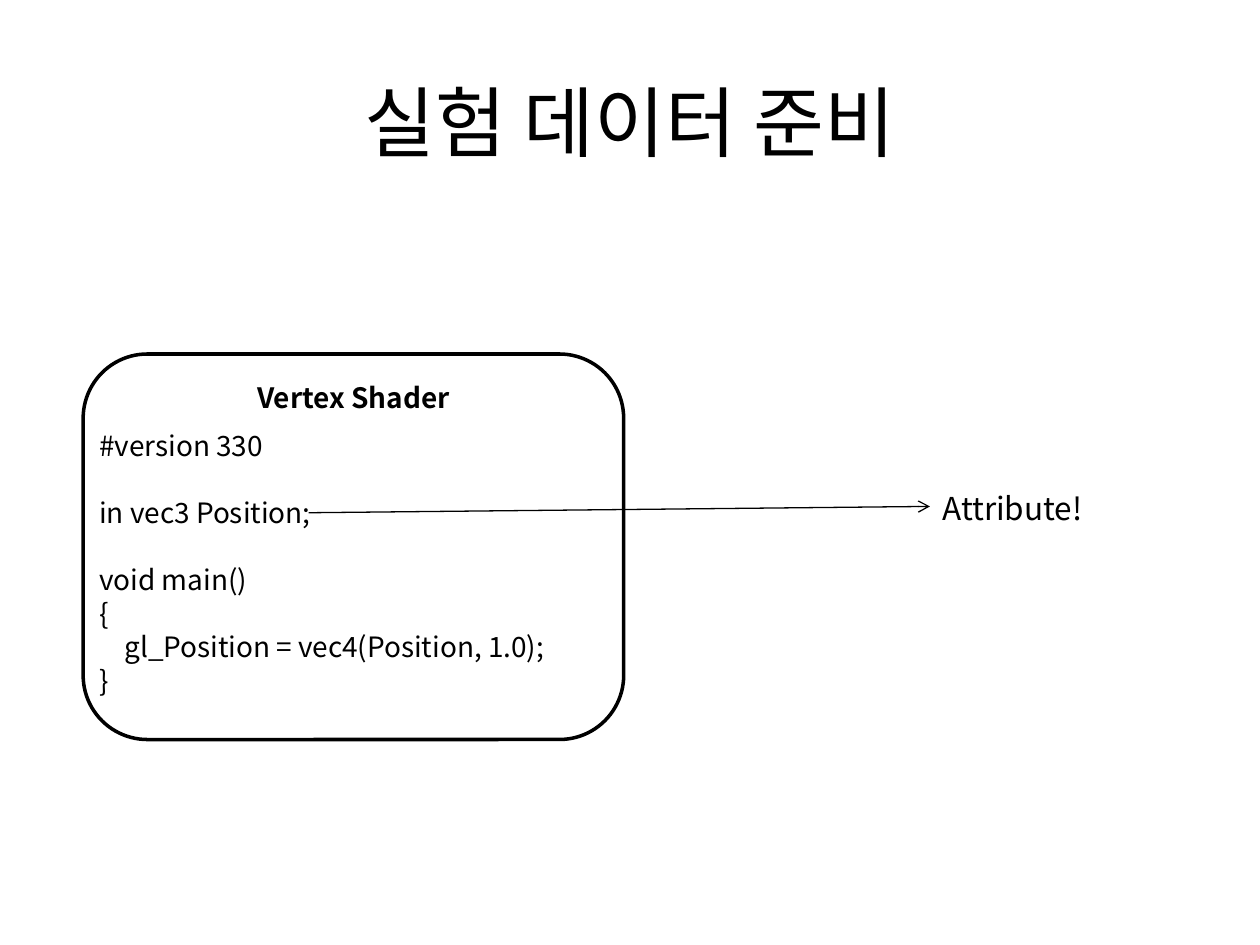
from dataclasses import dataclass

from lxml import etree
from pptx import Presentation
from pptx.dml.color import RGBColor
from pptx.enum.shapes import MSO_CONNECTOR, MSO_SHAPE
from pptx.enum.text import MSO_ANCHOR, PP_ALIGN
from pptx.oxml.ns import qn
from pptx.util import Pt

ROUNDED = MSO_SHAPE.ROUNDED_RECTANGLE
STRAIGHT = MSO_CONNECTOR.STRAIGHT
TOP, MIDDLE = MSO_ANCHOR.TOP, MSO_ANCHOR.MIDDLE
LEFT, CENTER = PP_ALIGN.LEFT, PP_ALIGN.CENTER
FONT = "Noto Sans CJK KR"
BLACK, WHITE = "000000", "FFFFFF"
LINE_PITCH = 1.2  # line height relative to the font size
TITLE_LAYOUT = 5


@dataclass
class Line:
    text: str
    gap_lines: int = 0
    indent: float = 0


@dataclass
class Block:
    left: float
    top: float
    width: float
    height: float
    size: float
    lines: list[Line]
    align: PP_ALIGN = LEFT
    anchor: MSO_ANCHOR = TOP
    bold: bool = False
    margin_top: float = 4.4


TITLE = Block(36, 21.6, 648, 90, 44, [Line("실험 데이터 준비")],
              CENTER, MIDDLE, margin_top=8)
SHADER = Block(47.5, 202.3, 308.9, 220.3, 16, [Line("Vertex Shader")],
               CENTER, bold=True)
TEXT_BLOCKS = [
    Block(49.7, 240.5, 308.9, 162.7, 16, [
        Line("#version 330"),
        Line("in vec3 Position;", gap_lines=1),
        Line("void main()", gap_lines=1),
        Line("{"),
        Line("gl_Position = vec4(Position, 1.0);", indent=14.3),
        Line("}"),
    ]),
    Block(531.4, 275, 123.1, 28.8, 18, [Line("Attribute!")]),
]


def color(value: str) -> RGBColor:
    return RGBColor.from_string(value)


def apply(target, values: dict) -> None:
    for name, value in values.items():
        setattr(target, name, value)


def area(block: Block) -> list:
    return [Pt(value) for value in (block.left, block.top, block.width, block.height)]


def write(shape, block: Block) -> None:
    frame = shape.text_frame
    apply(frame, {"word_wrap": True, "vertical_anchor": block.anchor,
                  "margin_top": Pt(block.margin_top)})
    pitch = block.size * LINE_PITCH
    for index, line in enumerate(block.lines):
        para = frame.add_paragraph() if index else frame.paragraphs[0]
        apply(para, {"alignment": block.align, "line_spacing": Pt(pitch),
                     "space_before": Pt(line.gap_lines * pitch)})
        if line.indent:
            para._p.get_or_add_pPr().set("marL", str(Pt(line.indent)))
        span = para.add_run()
        span.text = line.text
        span.font.color.rgb = color(BLACK)
        apply(span.font, {"size": Pt(block.size), "bold": block.bold, "name": FONT})
        etree.SubElement(span.font._element, qn("a:ea"), typeface=FONT)


def add_arrow(page, start: tuple[float, float], end: tuple[float, float]) -> None:
    arrow = page.shapes.add_connector(STRAIGHT, *[Pt(value) for value in start + end])
    arrow.line.color.rgb = color(BLACK)
    arrow.line.width = Pt(0.75)
    etree.SubElement(arrow.line._get_or_add_ln(), qn("a:tailEnd"), type="arrow")
    etree.SubElement(arrow._element.spPr, qn("a:effectLst"))


deck = Presentation()
apply(deck, {"slide_width": Pt(720), "slide_height": Pt(540)})
page = deck.slides.add_slide(deck.slide_layouts[TITLE_LAYOUT])

# Title
title = page.shapes.title
apply(title, dict(zip(("left", "top", "width", "height"), area(TITLE))))
write(title, TITLE)

# Shader box
box = page.shapes.add_shape(ROUNDED, *area(SHADER))
box.shadow.inherit = False
box.fill.solid()
box.fill.fore_color.rgb = color(WHITE)
box.line.color.rgb = color(BLACK)
box.line.width = Pt(2)
write(box, SHADER)

# Code and label, joined by the arrow
for block in TEXT_BLOCKS:
    write(page.shapes.add_textbox(*area(block)), block)
add_arrow(page, (176.4, 293), (531.4, 289.4))

deck.save("out.pptx")
